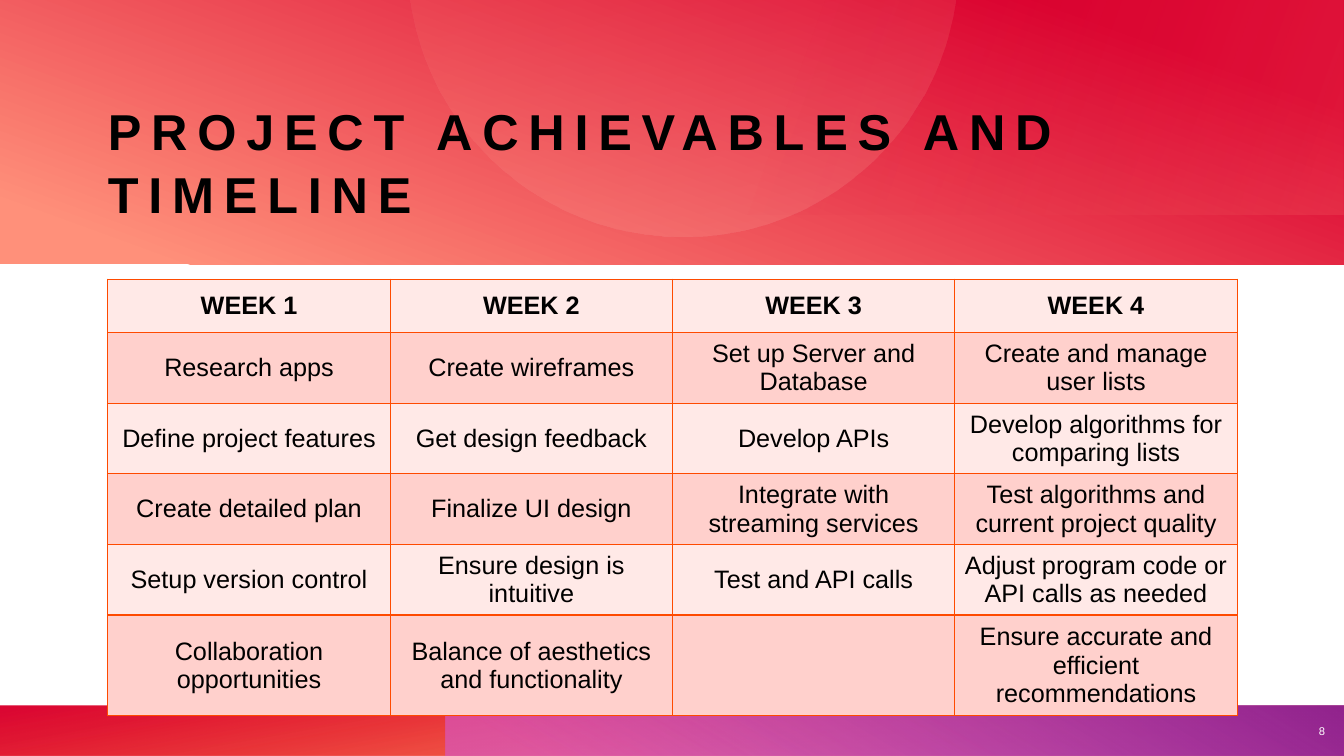
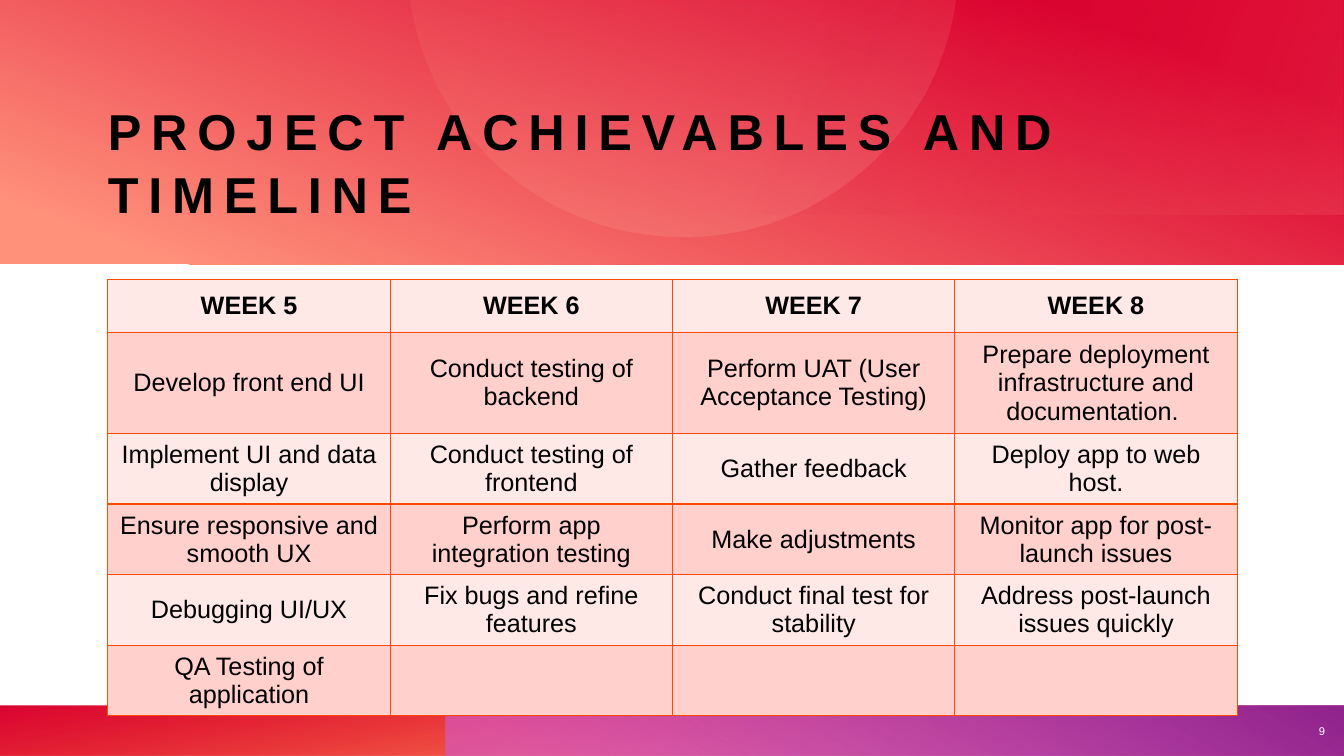
"""Build the two project timeline slides."""
from math import cos, radians, sin

from lxml.etree import SubElement
from pptx import Presentation
from pptx.dml.color import RGBColor
from pptx.enum.shapes import MSO_SHAPE
from pptx.enum.text import MSO_ANCHOR, PP_ALIGN
from pptx.oxml.ns import qn
from pptx.util import Inches, Pt

HUES = {
    "black": "000000", "white": "FFFFFF", "red": "DA002F", "flame": "FE4A00",
    "coral": "FF907A", "peach": "FFBCAF", "pink": "D861D4", "plum": "92248E",
    "pale": "FFE9E7", "rose": "FFD0CC",
}
TITLE = "PROJECT ACHIEVABLES AND TIMELINE"
ROWS = [0.53, 0.53, 0.53, 0.68, 0.53, 0.68]
WEEKS = {
    8: [
        ["WEEK 1", "WEEK 2", "WEEK 3", "WEEK 4"],
        ["Research apps", "Create wireframes", "Set up Server and Database",
         "Create and manage user lists"],
        ["Define project features", "Get design feedback", "Develop APIs",
         "Develop algorithms for comparing lists"],
        ["Create detailed plan", "Finalize UI design",
         "Integrate with streaming services",
         "Test algorithms and current project quality"],
        ["Setup version control", "Ensure design is intuitive",
         "Test and API calls", "Adjust program code or API calls as needed"],
        ["Collaboration opportunities",
         "Balance of aesthetics and functionality", "",
         "Ensure accurate and efficient recommendations"],
    ],
    9: [
        ["WEEK 5", "WEEK 6", "WEEK 7", "WEEK 8"],
        ["Develop front end UI", "Conduct testing of backend",
         "Perform UAT (User Acceptance Testing)",
         "Prepare deployment infrastructure and documentation. "],
        ["Implement UI and data display", "Conduct testing of frontend",
         "Gather feedback", "Deploy app to web host."],
        ["Ensure responsive and smooth UX", "Perform app integration testing",
         "Make adjustments", "Monitor app for post-launch issues"],
        ["Debugging UI/UX", "Fix bugs and refine features",
         "Conduct final test for stability",
         "Address post-launch issues quickly"],
        ["QA Testing of application", "", "", ""],
    ],
}
FLAME = [(14, "flame", 28), (100, "red", 85)]
PLUM = [(9, "pink", 55), (99, "plum", 100)]
BARS = [
    (0, 7, 13.33, 0.5, FLAME, 260),
    (4.42, 7, 8.91, 0.5, PLUM, 300),
    (0, 7.01, 13.33, 0.49, FLAME, 260),
    (4.42, 7.01, 8.91, 0.49, PLUM, 300),
    (0, 0, 13.33, 2.62, [(8, "coral", 100), (86, "red", 100)], 290),
]
GLOW = (4.44, 0, 8.88, 2.13, [(0, "coral", 16), (62, "red", 0)], 200)
ARC = [(Inches(6.77 + 2.73 * cos(radians(a))),
        Inches(-0.38 + 2.73 * sin(radians(a)))) for a in range(8, 173, 2)]


def shade(shape, stops, angle):
    shape.shadow.inherit = False
    shape.line.fill.background()
    shape.fill.background()
    blank = shape._element.spPr.find(qn("a:noFill"))
    grad = blank.makeelement(qn("a:gradFill"), {"rotWithShape": "1"})
    blank.getparent().replace(blank, grad)
    marks = SubElement(grad, qn("a:gsLst"))
    for place, hue, alpha in stops:
        mark = SubElement(marks, qn("a:gs"), pos=str(place * 1000))
        tint = SubElement(mark, qn("a:srgbClr"), val=HUES[hue])
        SubElement(tint, qn("a:alpha"), val=str(alpha * 1000))
    SubElement(grad, qn("a:lin"), ang=str(angle * 60000), scaled="0")


def write(frame, text, size, hue, align, bold=False):
    para = frame.paragraphs[0]
    para.alignment = align
    font = para.font
    font.name, font.size, font.bold = "Arial", Pt(size), bold
    font.color.rgb = RGBColor.from_string(HUES[hue])
    if text:
        para.add_run().text = text
    return para


deck = Presentation()
deck.slide_width, deck.slide_height = Inches(13.33), Inches(7.5)

for number, grid in WEEKS.items():
    slide = deck.slides.add_slide(deck.slide_layouts[6])
    shapes = slide.shapes

    for bar in BARS + [GLOW]:
        if bar is GLOW:
            pen = shapes.build_freeform(*ARC[0])
            pen.add_line_segments(ARC[1:], close=True)
            shade(pen.convert_to_shape(),
                  [(0, "coral", 12), (100, "peach", 20)], 77)
        *box, stops, angle = bar
        rect = shapes.add_shape(MSO_SHAPE.RECTANGLE, *map(Inches, box))
        shade(rect, stops, angle)

    frame = shapes.add_textbox(*map(Inches, (1.07, 0.87, 11.2, 1.35))).text_frame
    frame.word_wrap = True
    frame.vertical_anchor = MSO_ANCHOR.BOTTOM
    frame.margin_left = frame.margin_right = 0
    frame.margin_top = frame.margin_bottom = 0
    para = write(frame, TITLE, 36, "black", PP_ALIGN.LEFT, True)
    para.line_spacing = 1.05
    para.runs[0]._r.get_or_add_rPr().set("spc", "700")

    table = shapes.add_table(
        len(grid), 4, *map(Inches, (1.07, 2.77, 11.2, sum(ROWS)))).table
    table.first_row = table.horz_banding = False
    for r, line in enumerate(grid):
        table.rows[r].height = Inches(ROWS[r])
        for c, text in enumerate(line):
            cell = table.cell(r, c)
            cell.vertical_anchor = MSO_ANCHOR.MIDDLE
            props = cell._tc.get_or_add_tcPr()
            for side in ("lnL", "lnR", "lnT", "lnB"):
                edge = SubElement(props, qn("a:" + side), w=str(Pt(1)))
                fill = SubElement(edge, qn("a:solidFill"))
                SubElement(fill, qn("a:srgbClr"), val=HUES["flame"])
            cell.fill.solid()
            cell.fill.fore_color.rgb = RGBColor.from_string(
                HUES["rose" if r % 2 else "pale"])
            write(cell.text_frame, text, 18, "black", PP_ALIGN.CENTER, r == 0)

    frame = shapes.add_textbox(*map(Inches, (12.76, 7.01, 0.48, 0.49))).text_frame
    frame.word_wrap = True
    frame.vertical_anchor = MSO_ANCHOR.MIDDLE
    write(frame, str(number), 8, "white", PP_ALIGN.RIGHT)

deck.save("out.pptx")
